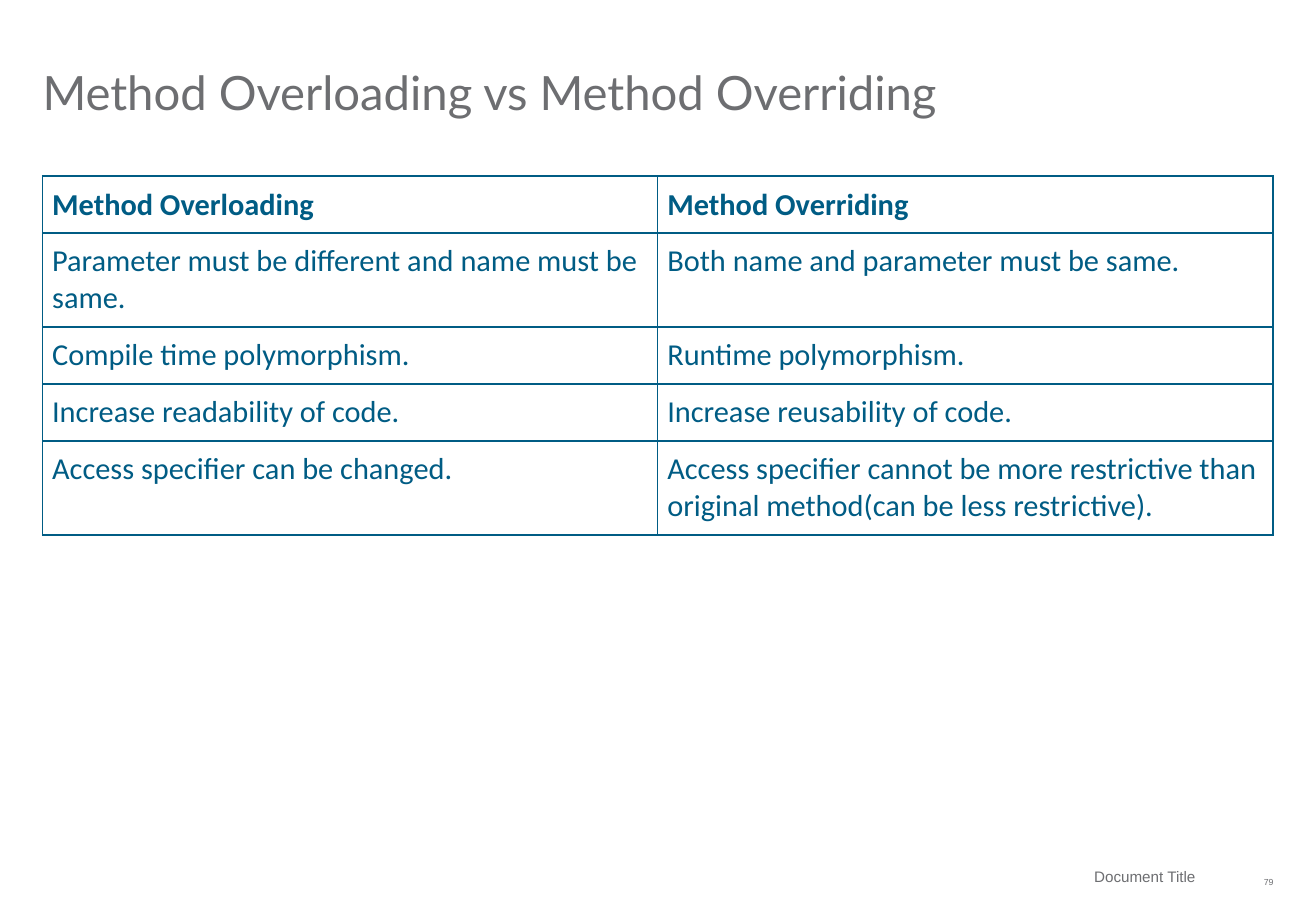
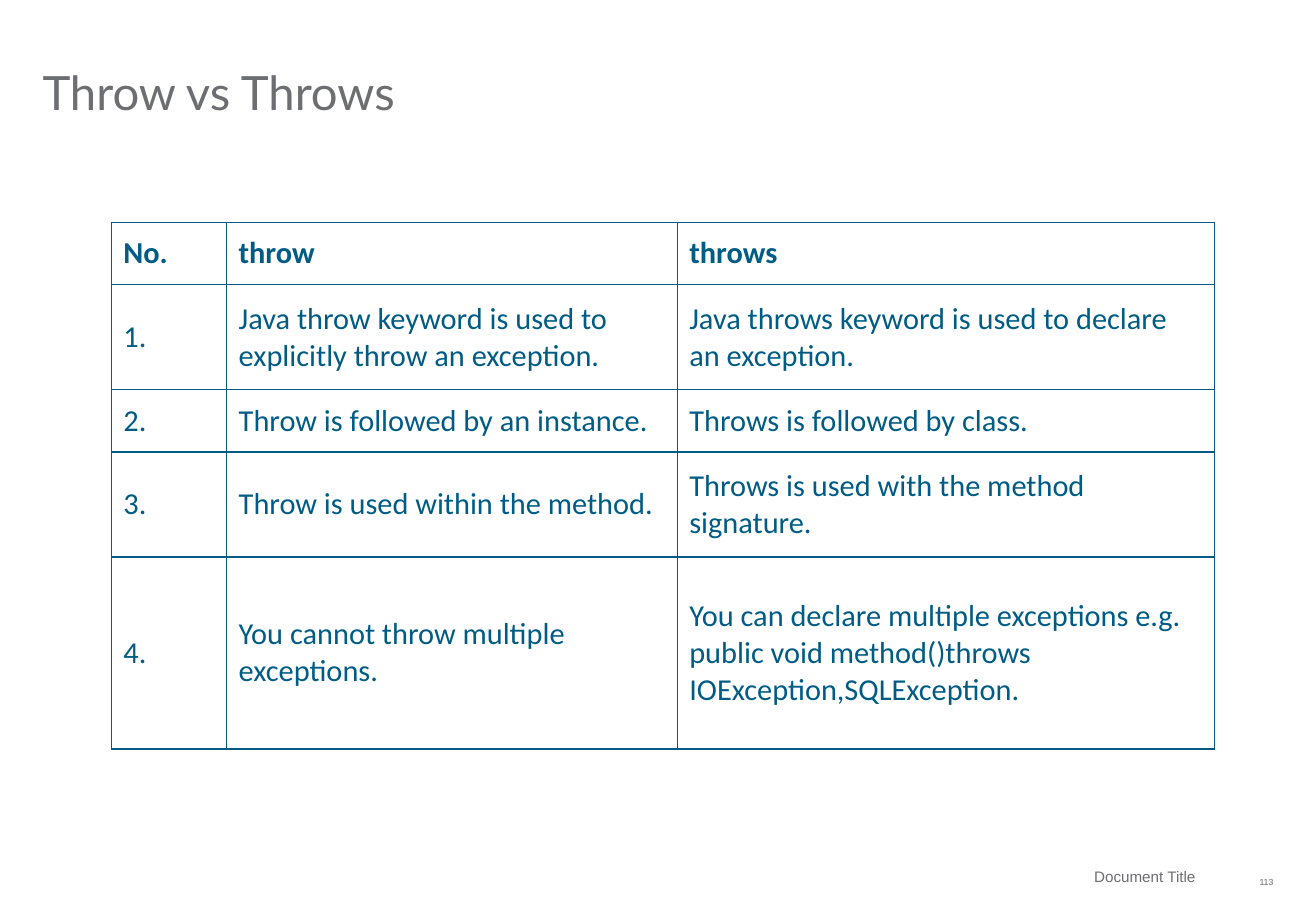
from dataclasses import dataclass

from lxml import etree
from pptx import Presentation
from pptx.dml.color import RGBColor
from pptx.enum.text import MSO_ANCHOR, PP_ALIGN
from pptx.oxml.ns import qn
from pptx.util import Cm, Pt

TOP, MID, LOW = MSO_ANCHOR.TOP, MSO_ANCHOR.MIDDLE, MSO_ANCHOR.BOTTOM
LEFT, RIGHT = PP_ALIGN.LEFT, PP_ALIGN.RIGHT


@dataclass(frozen=True)
class Theme:
    grey: str = "6D6E71"
    blue: str = "005C84"
    white: str = "FFFFFF"
    title: tuple = ("Lato", 28)
    body: tuple = ("Calibri", 18)
    foot: tuple = ("Arial", 9)
    line: float = 1


theme = Theme()


def write(para, text, face, color, bold=False):
    """Add one run per line of text and return the last run."""
    for num, line in enumerate(text.split("\n")):
        if num:
            para.add_line_break()
        run = para.add_run()
        run.text = line
        run.font.name, run.font.size = face[0], Pt(face[1])
        run.font.color.rgb = RGBColor.from_string(color)
        run.font.bold = bold
    return run


def label(slide, box, text, face, anchor, align, inset=0):
    """Add a grey text box; box holds left, top, width and height in cm."""
    frame = slide.shapes.add_textbox(*map(Cm, box)).text_frame
    frame.word_wrap = True
    frame.vertical_anchor = anchor
    frame.margin_left = frame.margin_top = frame.margin_bottom = 0
    frame.margin_right = Cm(inset)
    para = frame.paragraphs[0]
    para.alignment = align
    return para, write(para, text, face, theme.grey)


# Content: title, page, table place, insets (side, end), anchors (head, body)
pages = [
    dict(
        title="Method Overloading vs Method Overriding", page="79",
        at=(0.89, 3.68), cols=(12.86, 12.86),
        rows=(1.19, 1.97, 1.19, 1.19, 1.97),
        inset=(0.2, 0.2), anchors=(LOW, TOP),
        cells=[
            ("Method Overloading", "Method Overriding"),
            ("Parameter must be different and name must be same.",
             "Both name and parameter must be same."),
            ("Compile time polymorphism.", "Runtime polymorphism."),
            ("Increase readability of code.", "Increase reusability of code."),
            ("Access specifier can be changed.",
             "Access specifier cannot be more restrictive than original "
             "method(can be less restrictive)."),
        ],
    ),
    dict(
        title="Throw vs Throws", page="113",
        at=(2.33, 4.65), cols=(2.41, 9.42, 11.23),
        rows=(1.3, 2.2, 1.3, 2.2, 4.01),
        inset=(0.25, 0.15), anchors=(MID, MID),
        cells=[
            ("No.", "throw", "throws"),
            ("1.", "Java throw keyword is used to explicitly throw an exception.",
             "Java throws keyword is used to declare an exception."),
            ("2.", "Throw is followed by an instance.",
             "Throws is followed by class."),
            ("3.", "Throw is used within the method.",
             "Throws is used with the method signature."),
            ("4.", "You cannot throw multiple exceptions.",
             "You can declare multiple exceptions e.g.\n"
             "public void method()throws IOException,SQLException."),
        ],
    ),
]

deck = Presentation()
deck.slide_width, deck.slide_height = Cm(27.51), Cm(19.05)

for page in pages:
    slide = deck.slides.add_slide(deck.slide_layouts[6])

    # Footer, with the page number set as a subscript
    para, run = label(slide, (25.63, 17.91, 0.99, 0.84), page["page"],
                      theme.foot, MID, RIGHT)
    run.font._element.set("baseline", "-25000")
    label(slide, (15.72, 17.98, 9.65, 0.71), "Document Title",
          theme.foot, MID, RIGHT, 0.38)

    # Title
    para, run = label(slide, (0.89, 0.56, 25.73, 1.96), page["title"],
                      theme.title, LOW, LEFT)
    para.line_spacing = 0.9

    # Table
    cols, rows = page["cols"], page["rows"]
    size = (sum(cols), sum(rows))
    table = slide.shapes.add_table(
        len(rows), len(cols), *map(Cm, page["at"] + size)).table
    table.first_row = table.horz_banding = False
    for col, width in zip(table.columns, cols):
        col.width = Cm(width)
    for row, height in zip(table.rows, rows):
        row.height = Cm(height)

    # Cells
    side, end = map(Cm, page["inset"])
    for r, texts in enumerate(page["cells"]):
        for c, text in enumerate(texts):
            cell = table.cell(r, c)
            cell.margin_left = cell.margin_right = side
            cell.margin_top = cell.margin_bottom = end
            cell.vertical_anchor = page["anchors"][min(r, 1)]
            write(cell.text_frame.paragraphs[0], text, theme.body,
                  theme.blue, r == 0)
            props = cell._tc.get_or_add_tcPr()
            for edge in ("a:lnL", "a:lnR", "a:lnT", "a:lnB"):
                line = etree.SubElement(props, qn(edge), w=str(Pt(theme.line)))
                fill = etree.SubElement(line, qn("a:solidFill"))
                etree.SubElement(fill, qn("a:srgbClr"), val=theme.blue)
            cell.fill.solid()
            cell.fill.fore_color.rgb = RGBColor.from_string(theme.white)

deck.save("out.pptx")
